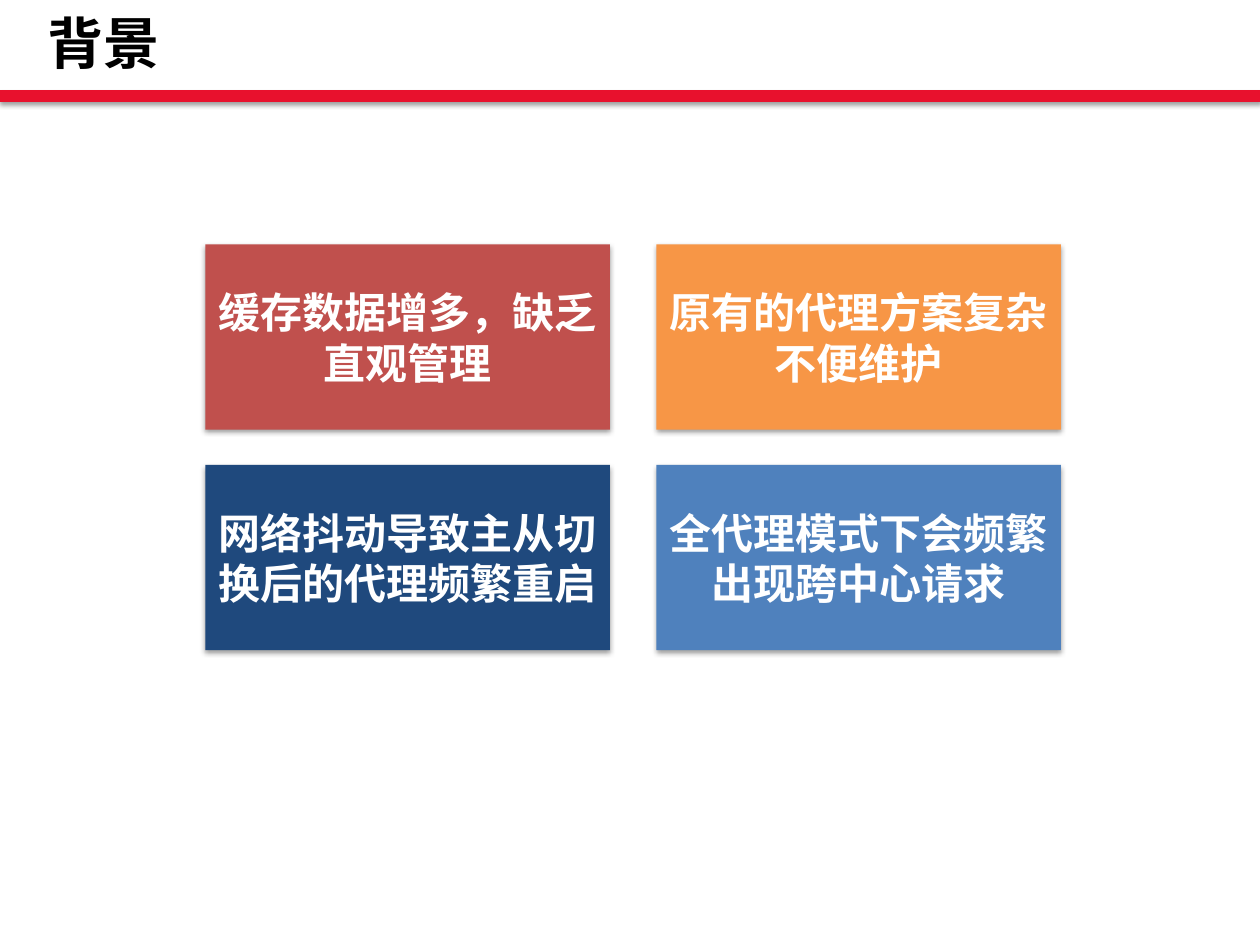
from dataclasses import dataclass

from lxml import etree
from pptx import Presentation
from pptx.dml.color import RGBColor
from pptx.enum.shapes import MSO_CONNECTOR, MSO_SHAPE
from pptx.enum.text import MSO_ANCHOR, MSO_AUTO_SIZE, PP_ALIGN
from pptx.oxml.ns import qn
from pptx.util import Inches, Pt

RECTANGLE = MSO_SHAPE.RECTANGLE
STRAIGHT = MSO_CONNECTOR.STRAIGHT
MIDDLE = MSO_ANCHOR.MIDDLE
FIT_SHAPE = MSO_AUTO_SIZE.SHAPE_TO_FIT_TEXT
LEFT, CENTER = PP_ALIGN.LEFT, PP_ALIGN.CENTER

BLACK = RGBColor(0x00, 0x00, 0x00)
WHITE = RGBColor(0xFF, 0xFF, 0xFF)
RULE_RED = RGBColor(0xE8, 0x11, 0x2D)
BRICK = RGBColor(0xC0, 0x50, 0x4D)
ORANGE = RGBColor(0xF7, 0x96, 0x46)
NAVY = RGBColor(0x1F, 0x49, 0x7D)
BLUE = RGBColor(0x4F, 0x81, 0xBD)

# Card grid, in inches
COLUMNS = 2
GRID_LEFT, GRID_TOP = 1.63, 1.94
CARD_WIDTH, CARD_HEIGHT = 3.21, 1.47
COLUMN_STEP, ROW_STEP = 3.58, 1.75


@dataclass(frozen=True)
class Card:
    text: str
    fill: RGBColor


CARDS = [
    Card("缓存数据增多，缺乏直观管理", BRICK),
    Card("原有的代理方案复杂不便维护", ORANGE),
    Card("网络抖动导致主从切换后的代理频繁重启", NAVY),
    Card("全代理模式下会频繁出现跨中心请求", BLUE),
]

TITLE_FONT = {"name": "Arial", "size": Pt(32), "bold": True}
CARD_FONT = {"name": "Calibri", "size": Pt(24), "bold": True}


def add_shadow(properties) -> None:
    """Give shape properties a soft shadow falling straight down."""
    effects = etree.SubElement(properties, qn("a:effectLst"))
    shadow = etree.SubElement(
        effects, qn("a:outerShdw"), blurRad=str(Pt(3.1)), dist=str(Pt(1.6)),
        dir="5400000", rotWithShape="0")
    color = etree.SubElement(shadow, qn("a:srgbClr"), val=str(BLACK))
    etree.SubElement(color, qn("a:alpha"), val="38000")


def write_text(frame, text: str, font: dict, color: RGBColor, align) -> None:
    frame.word_wrap = True
    para = frame.paragraphs[0]
    para.alignment = align
    span = para.add_run()
    span.text = text
    for name, value in font.items():
        setattr(span.font, name, value)
    span.font.color.rgb = color


def add_title(page, text: str) -> None:
    box = page.shapes.add_textbox(
        Inches(0.28), Inches(0.02), Inches(6), Inches(0.64))
    write_text(box.text_frame, text, TITLE_FONT, BLACK, LEFT)
    box.text_frame.auto_size = FIT_SHAPE


def add_rule(page, top: float, width: float) -> None:
    rule = page.shapes.add_connector(
        STRAIGHT, Inches(0), Inches(top), Inches(width), Inches(top))
    rule.line.color.rgb = RULE_RED
    rule.line.width = Pt(6.75)
    add_shadow(rule._element.spPr)


def add_card(page, card: Card, row: int, column: int) -> None:
    box = page.shapes.add_shape(
        RECTANGLE,
        Inches(GRID_LEFT + column * COLUMN_STEP),
        Inches(GRID_TOP + row * ROW_STEP),
        Inches(CARD_WIDTH), Inches(CARD_HEIGHT))
    box.fill.solid()
    box.fill.fore_color.rgb = card.fill
    box.line.fill.background()
    add_shadow(box._element.spPr)
    box.text_frame.vertical_anchor = MIDDLE
    write_text(box.text_frame, card.text, CARD_FONT, WHITE, CENTER)


def main() -> None:
    deck = Presentation()
    deck.slide_width, deck.slide_height = Inches(10), Inches(7.5)
    page = deck.slides.add_slide(deck.slide_layouts[6])

    # Header
    add_rule(page, top=0.76, width=10)

    # Problem cards, filled row by row
    for index, card in enumerate(CARDS):
        add_card(page, card, *divmod(index, COLUMNS))

    add_title(page, "背景")
    deck.save("out.pptx")


if __name__ == "__main__":
    main()
